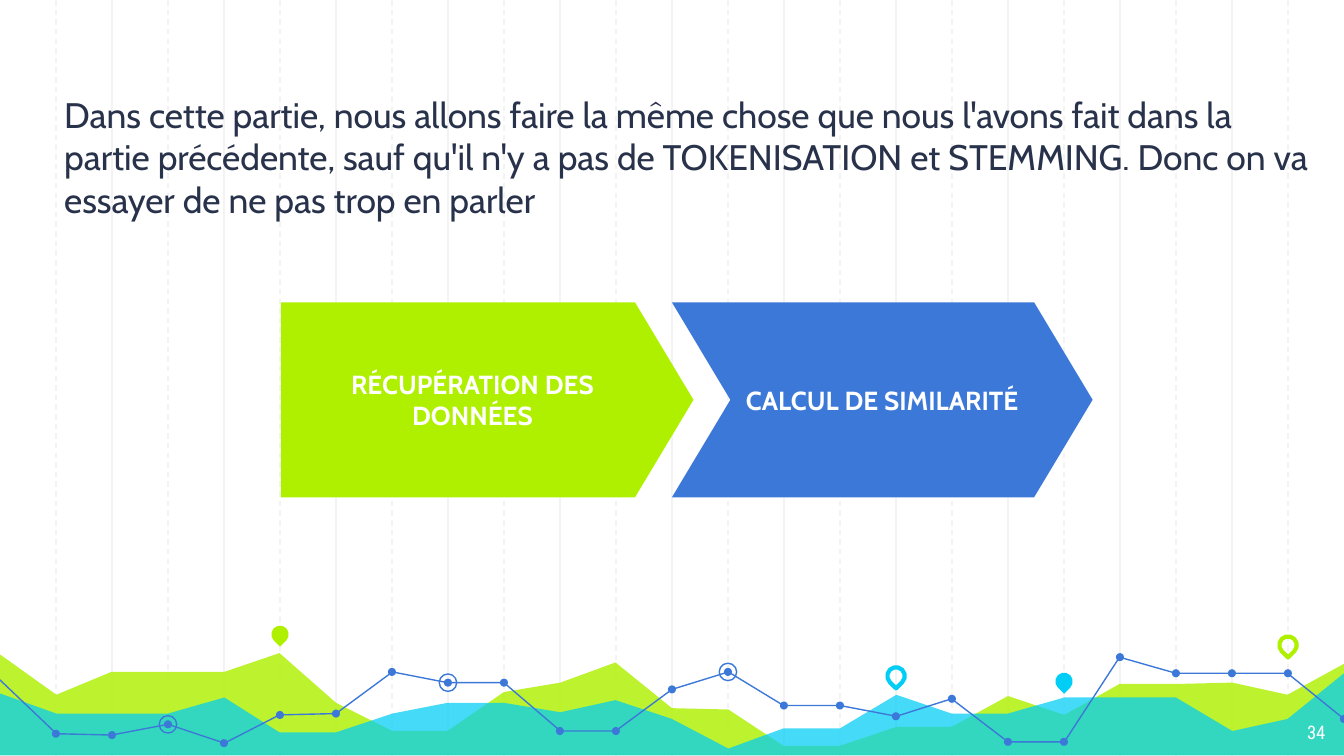
from lxml import etree
from pptx import Presentation
from pptx.dml.color import RGBColor
from pptx.enum.dml import MSO_LINE
from pptx.enum.shapes import MSO_CONNECTOR, MSO_SHAPE
from pptx.enum.text import MSO_ANCHOR, PP_ALIGN
from pptx.oxml.ns import qn
from pptx.util import Pt

DASH = MSO_LINE.DASH
STRAIGHT = MSO_CONNECTOR.STRAIGHT
OVAL, TEAR = MSO_SHAPE.OVAL, MSO_SHAPE.TEAR
PENTAGON, CHEVRON = MSO_SHAPE.PENTAGON, MSO_SHAPE.CHEVRON
TOP, MIDDLE, BOTTOM = MSO_ANCHOR.TOP, MSO_ANCHOR.MIDDLE, MSO_ANCHOR.BOTTOM
LEFT, CENTER, RIGHT = PP_ALIGN.LEFT, PP_ALIGN.CENTER, PP_ALIGN.RIGHT

PX = 9144
WIDTH, COLS = 1000, 24
HEIGHT = WIDTH * 9 / 16
LIME, CYAN, BLUE = "AFF000", "00CEF6", "3C78D8"
GRID, INK, WHITE = "F3F3F3", "28324A", "FFFFFF"

TITLE = ("Dans cette partie, nous allons faire la même chose que nous l'avons fait "
         "dans la partie précédente, sauf qu'il n'y a pas de TOKENISATION et STEMMING. "
         "Donc on va essayer de ne pas trop en parler")
STEPS = [
    ("RÉCUPÉRATION DES DONNÉES", PENTAGON, 209, 307, LIME),
    ("CALCUL DE SIMILARITÉ", CHEVRON, 500, 313, BLUE),
]
AREAS = [
    (LIME, 82, [487, 517, 500, 500, 500, 486, 523, 544, 544, 515, 508, 493, 527,
                528, 555, 555, 541, 541, 518, 532, 509, 509, 508, 517, 494]),
    (CYAN, 73, [516, 531, 531, 531, 519, 545, 545, 531, 523, 523, 530, 521, 535,
                557, 542, 542, 517, 531, 531, 519, 519, 519, 544, 535, 501]),
]
TREND = [506, 546, 547, 539, 553, 532, 531, 500, 508, 508, 544, 544, 513,
         500, 525, 525, 533, 520, 552, 552, 489, 501, 501, 501, 535]
PARTS = [(0, 11), (11, 20), (20, 24)]
RINGS = [3, 8, 13]
PINS = [(5, 472, LIME, True), (16, 503, CYAN, False),
        (19, 507, CYAN, True), (23, 480, LIME, False)]


def emu(*sizes):
    return [round(size * PX) for size in sizes]


deck = Presentation()
deck.slide_width, deck.slide_height = emu(WIDTH, HEIGHT)
slide = deck.slides.add_slide(deck.slide_layouts[6])
shapes = slide.shapes


def color(code):
    return RGBColor.from_string(code)


def col(index):
    return WIDTH * index / COLS


def paint(shape, fill=None, line=None, weight=0.75):
    shape.shadow.inherit = False
    if fill:
        shape.fill.solid()
        shape.fill.fore_color.rgb = color(fill)
    else:
        shape.fill.background()
    if line:
        shape.line.color.rgb = color(line)
        shape.line.width = Pt(weight)
    else:
        shape.line.fill.background()


def trace(points, close):
    (x, y), *rest = points
    path = shapes.build_freeform(x, y, scale=PX)
    path.add_line_segments(rest, close=close)
    return path.convert_to_shape()


def mark(kind, x, y, size):
    return shapes.add_shape(kind, *emu(x - size / 2, y - size / 2, size, size))


def write(shape, text, size, code, font="Cabin", align=LEFT, anchor=TOP, bold=False):
    frame = shape.text_frame
    frame.word_wrap = True
    frame.vertical_anchor = anchor
    frame.margin_left, frame.margin_top, frame.margin_right, frame.margin_bottom = emu(10, 10, 10, 10)
    frame.text = text
    para = frame.paragraphs[0]
    para.alignment = align
    face = para.runs[0].font
    face.name, face.size, face.bold = font, Pt(size), bold
    face.color.rgb = color(code)


for first, dash in [(2, None), (1, DASH)]:
    for index in range(first, COLS, 2):
        rule = shapes.add_connector(STRAIGHT, *emu(col(index), 0, col(index), HEIGHT))
        rule.line.color.rgb = color(GRID)
        rule.line.width = Pt(0.75)
        if dash:
            rule.line.dash_style = dash
        etree.SubElement(rule._element.spPr, qn("a:effectLst"))

for code, alpha, tops in AREAS:
    ridge = [(col(index), top) for index, top in enumerate(tops)]
    area = trace(ridge + [(WIDTH, HEIGHT), (0, HEIGHT)], True)
    paint(area, code)
    tint = area._element.spPr.find(qn("a:solidFill"))[0]
    etree.SubElement(tint, qn("a:alpha"), val=str(alpha * 1000))

dots = [(col(index), y) for index, y in enumerate(TREND)]
for start, stop in PARTS:
    paint(trace(dots[start:stop + 1], False), line=BLUE)
for x, y in dots[1:]:
    paint(mark(OVAL, x, y, 6), BLUE)
for index in RINGS:
    paint(mark(OVAL, *dots[index], 13), line=BLUE)

for index, y, code, solid in PINS:
    pin = mark(TEAR, col(index), y, 13)
    pin.rotation = 135
    if solid:
        paint(pin, code)
    else:
        paint(pin, line=code, weight=2.25)

title = shapes.add_textbox(*emu(38, 64, 946, 110))
write(title, TITLE, 19, INK, anchor=BOTTOM)

for text, kind, left, width, code in STEPS:
    step = shapes.add_shape(kind, *emu(left, 225, width, 145))
    step.adjustments[0] = 0.3
    paint(step, code)
    write(step, text, 14, WHITE, align=CENTER, anchor=MIDDLE, bold=True)

number = shapes.add_textbox(*emu(936, 528, 60, 35))
write(number, "34", 10, WHITE, font="Roboto Condensed", align=RIGHT)

deck.save("out.pptx")
